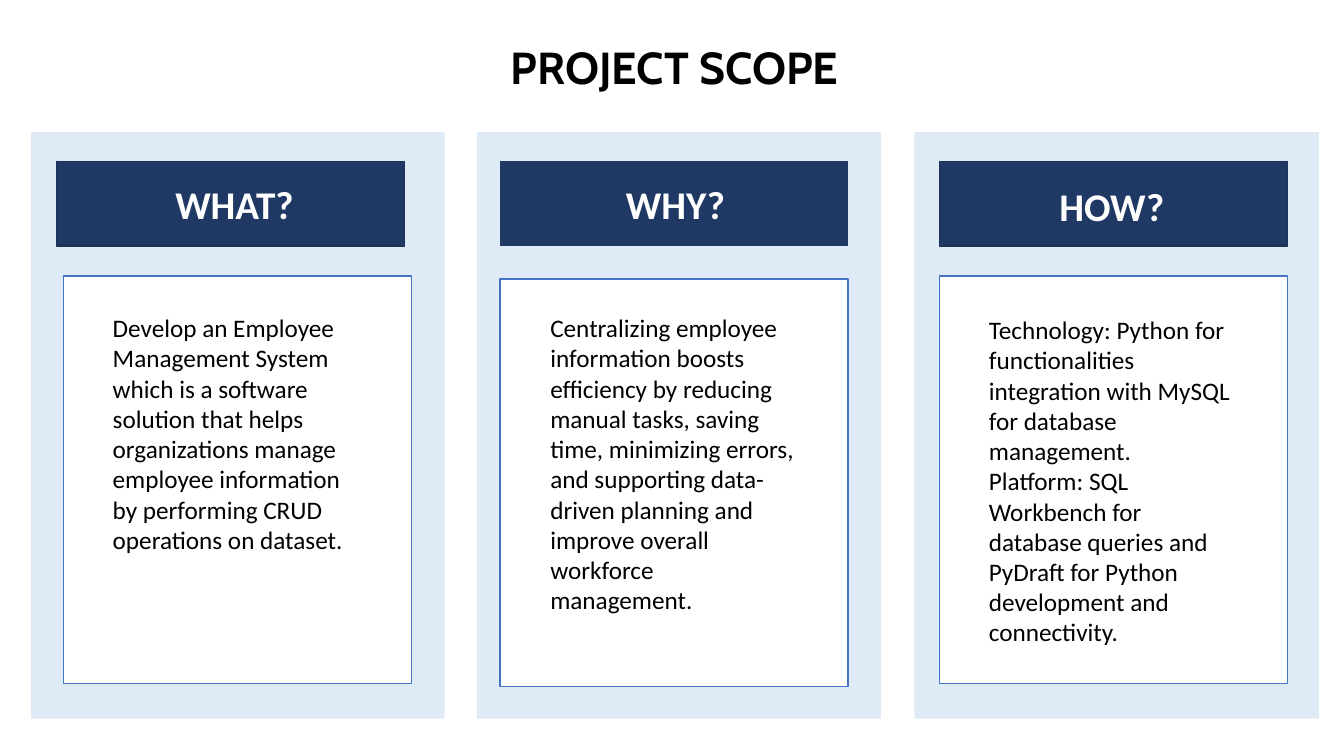
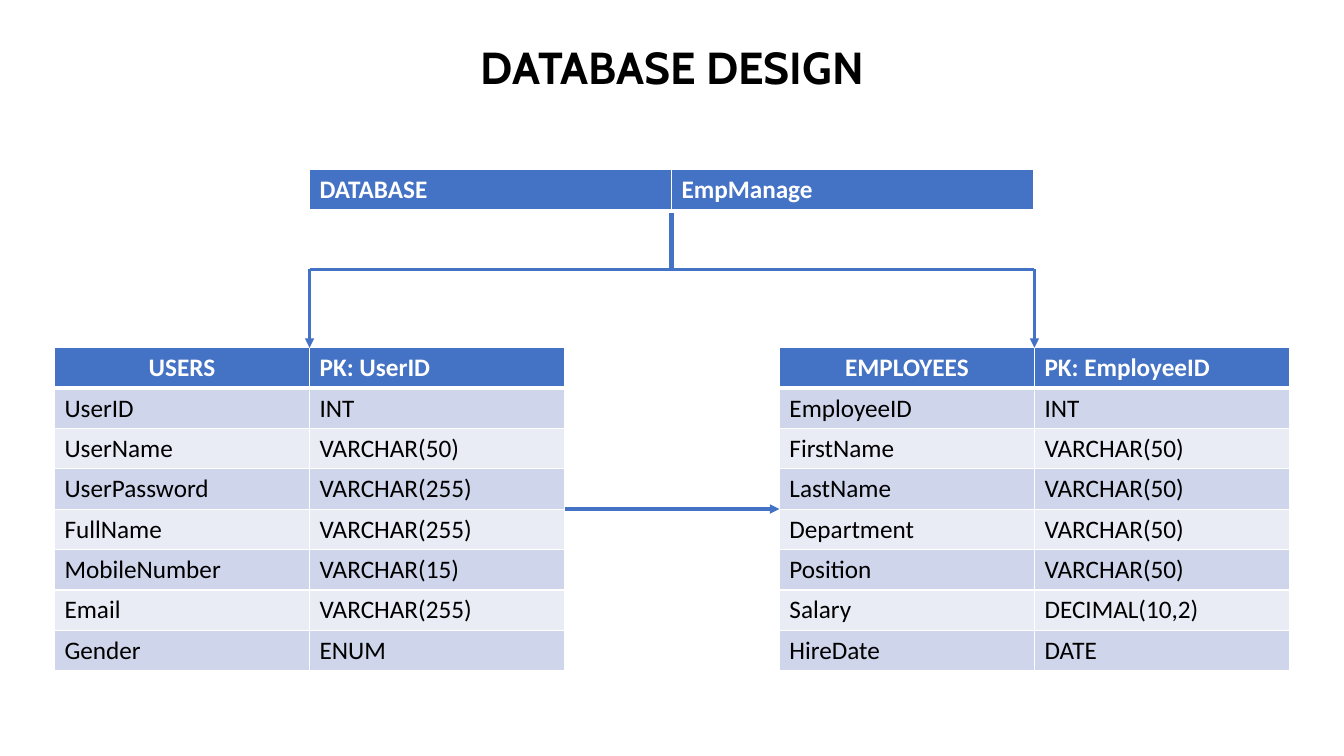
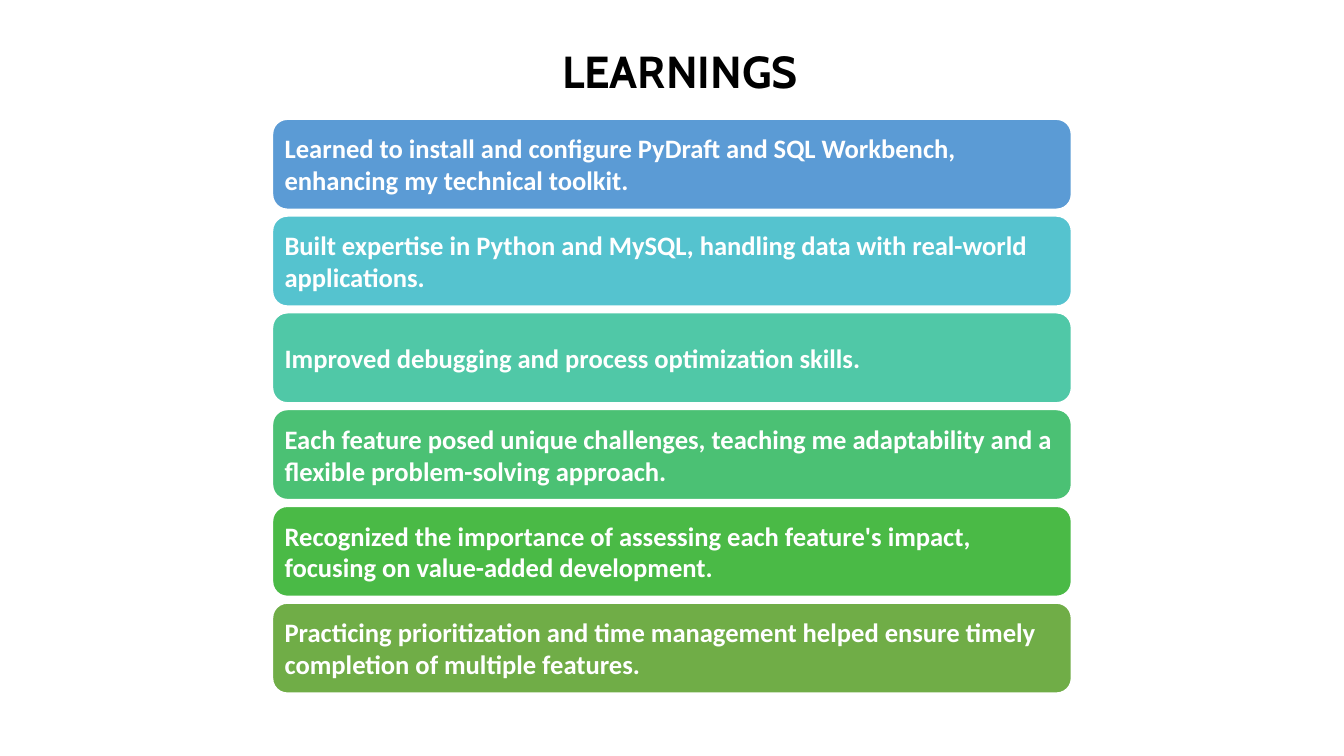
from dataclasses import dataclass

from pptx import Presentation
from pptx.dml.color import RGBColor
from pptx.enum.shapes import MSO_CONNECTOR, MSO_SHAPE
from pptx.enum.text import MSO_ANCHOR, MSO_AUTO_SIZE, PP_ALIGN
from pptx.oxml.ns import qn
from pptx.oxml.xmlchemy import OxmlElement
from pptx.util import Emu, Pt


@dataclass(frozen=True)
class Theme:
    title_font: str = "Cabin"
    body_font: str = "Calibri"
    title_size: int = 32
    label_size: int = 28
    learning_size: int = 19
    body_size: int = 18
    black: str = "000000"
    white: str = "FFFFFF"
    pale: str = "DEEBF7"
    navy: str = "203864"
    navy_edge: str = "1E3256"
    blue: str = "4472C4"
    bands: tuple = ("CFD5EA", "E9EBF5")


THEME = Theme()
EMU_PER_PX = 9144
SLIDE_SIZE = (1333, 750)

SCOPE_TITLE = ("PROJECT SCOPE", (456, 34, 426, 64))
SCOPE_COLUMNS = [
    {
        "label": "WHAT?",
        "paragraphs": [
            "Develop an Employee Management System which is a software solution that helps "
            "organizations manage employee information by performing CRUD operations on dataset.",
        ],
        "panel": (31, 410),
        "banner": (56, THEME.navy_edge),
        "card": (63, 274),
        "label_box": (164, 174, 143, 57),
        "body_box": (102, 305, 263, 252),
    },
    {
        "label": "WHY?",
        "paragraphs": [
            "Centralizing employee information boosts efficiency by reducing manual tasks, "
            "saving time, minimizing errors, and supporting data-driven planning and improve "
            "overall workforce management.",
        ],
        "panel": (473, 401),
        "banner": (496, None),
        "card": (496, 277),
        "label_box": (611, 174, 126, 57),
        "body_box": (536, 305, 267, 313),
    },
    {
        "label": "HOW?",
        "paragraphs": [
            "Technology: Python for functionalities integration with MySQL for database "
            "management.",
            "Platform: SQL Workbench for database queries and PyDraft for Python development "
            "and connectivity.",
        ],
        "panel": (907, 401),
        "banner": (932, THEME.navy_edge),
        "card": (932, 274),
        "label_box": (1041, 176, 133, 57),
        "body_box": (971, 307, 260, 374),
    },
]
PANEL_TOP, PANEL_HEIGHT = 131, 582
BANNER_TOP, BANNER_HEIGHT = 160, 84
CARD_WIDTH, CARD_HEIGHT = 345, 404

DATABASE_TITLE = ("DATABASE DESIGN", (454, 34, 426, 64))
DATABASE_ROWS = [("DATABASE", "EmpManage")]
USER_ROWS = [
    ("USERS", "PK: UserID"),
    ("UserID", "INT"),
    ("UserName", "VARCHAR(50)"),
    ("UserPassword", "VARCHAR(255)"),
    ("FullName", "VARCHAR(255)"),
    ("MobileNumber", "VARCHAR(15)"),
    ("Email", "VARCHAR(255)"),
    ("Gender", "ENUM"),
]
EMPLOYEE_ROWS = [
    ("EMPLOYEES", "PK: EmployeeID"),
    ("EmployeeID", "INT"),
    ("FirstName", "VARCHAR(50)"),
    ("LastName", "VARCHAR(50)"),
    ("Department", "VARCHAR(50)"),
    ("Position", "VARCHAR(50)"),
    ("Salary", "DECIMAL(10,2)"),
    ("HireDate", "DATE"),
]
ENTITY_LEFTS, ENTITY_TOP, ENTITY_COLUMN, ROW_HEIGHT = (54, 773), 345, 253, 40
DATABASE_TOP, BRANCH_TOP, BRANCH_Y = 168, 211, 267

LEARNINGS_TITLE = ("LEARNINGS", (537, 38, 275, 64))
LEARNINGS = [
    ("Learned to install and configure PyDraft and SQL Workbench, enhancing my technical "
     "toolkit.", "5B9BD5"),
    ("Built expertise in Python and MySQL, handling data with real-world applications.",
     "55C3CF"),
    ("Improved debugging and process optimization skills.", "50C8A7"),
    ("Each feature posed unique challenges, teaching me adaptability and a flexible "
     "problem-solving approach.", "4BC174"),
    ("Recognized the importance of assessing each feature's impact, focusing on value-added "
     "development.", "4ABA46"),
    ("Practicing prioritization and time management helped ensure timely completion of "
     "multiple features.", "70AD47"),
]
LEARNING_LEFT, LEARNING_TOP, LEARNING_WIDTH = 270, 118, 793
LEARNING_HEIGHT, LEARNING_GAP, LEARNING_MARGIN = 90, 6, 8


def px(value):
    return Emu(value * EMU_PER_PX)


def color(value):
    return RGBColor.from_string(value)


def add_text(paragraph, text, size, ink, bold=False, font=THEME.body_font,
             align=PP_ALIGN.LEFT):
    paragraph.alignment = align
    run = paragraph.add_run()
    run.text = text
    run.font.name = font
    run.font.size = Pt(size)
    run.font.bold = bold
    run.font.color.rgb = color(ink)


def add_text_box(slide, box, paragraphs, size, ink, **style):
    frame = slide.shapes.add_textbox(*map(px, box)).text_frame
    frame.word_wrap = True
    frame.auto_size = MSO_AUTO_SIZE.SHAPE_TO_FIT_TEXT
    for index, text in enumerate(paragraphs):
        paragraph = frame.add_paragraph() if index else frame.paragraphs[0]
        add_text(paragraph, text, size, ink, **style)


def add_block(slide, box, fill, line=None, width=1, kind=MSO_SHAPE.RECTANGLE):
    shape = slide.shapes.add_shape(kind, *map(px, box))
    shape.shadow.inherit = False
    shape.fill.solid()
    shape.fill.fore_color.rgb = color(fill)
    if line:
        shape.line.color.rgb = color(line)
        shape.line.width = Pt(width)
    else:
        shape.line.fill.background()
    return shape


def add_line(slide, start, end, width=2.25, arrow=False):
    connector = slide.shapes.add_connector(
        MSO_CONNECTOR.STRAIGHT, *map(px, start + end))
    connector.line.color.rgb = color(THEME.blue)
    connector.line.width = Pt(width)
    properties = connector._element.spPr
    if arrow:
        tail = OxmlElement("a:tailEnd")
        tail.set("type", "triangle")
        properties.find(qn("a:ln")).append(tail)
    properties.append(OxmlElement("a:effectLst"))


def add_border(cell, side, width):
    line = OxmlElement(f"a:ln{side}")
    line.set("w", str(Pt(width)))
    fill = OxmlElement("a:solidFill")
    ink = OxmlElement("a:srgbClr")
    ink.set("val", THEME.white)
    fill.append(ink)
    line.append(fill)
    cell._tc.get_or_add_tcPr().append(line)


def add_grid(slide, left, top, column_width, row_height, rows, first_align):
    width, height = column_width * len(rows[0]), row_height * len(rows)
    table = slide.shapes.add_table(
        len(rows), len(rows[0]), *map(px, (left, top, width, height))).table
    for column in table.columns:
        column.width = px(column_width)
    for row_index, values in enumerate(rows):
        header = row_index == 0
        table.rows[row_index].height = px(row_height)
        for column_index, text in enumerate(values):
            cell = table.cell(row_index, column_index)
            for side in "LRTB":
                thick = (header and side == "B") or (row_index == 1 and side == "T")
                add_border(cell, side, 3 if thick else 1)
            cell.fill.solid()
            cell.fill.fore_color.rgb = color(
                THEME.blue if header else THEME.bands[(row_index - 1) % 2])
            add_text(cell.text_frame.paragraphs[0], text, THEME.body_size,
                     THEME.white if header else THEME.black, bold=header,
                     align=first_align if header and column_index == 0 else PP_ALIGN.LEFT)


def add_slide(presentation, title):
    slide = presentation.slides.add_slide(presentation.slide_layouts[6])
    text, box = title
    add_text_box(slide, box, [text], THEME.title_size, THEME.black, bold=True,
                 font=THEME.title_font, align=PP_ALIGN.CENTER)
    return slide


def build_scope(presentation):
    slide = add_slide(presentation, SCOPE_TITLE)
    for column in SCOPE_COLUMNS:
        left, width = column["panel"]
        add_block(slide, (left, PANEL_TOP, width, PANEL_HEIGHT), THEME.pale)
        left, edge = column["banner"]
        add_block(slide, (left, BANNER_TOP, CARD_WIDTH, BANNER_HEIGHT), THEME.navy, edge)
        add_block(slide, column["card"] + (CARD_WIDTH, CARD_HEIGHT), THEME.white, THEME.blue)
        add_text_box(slide, column["label_box"], [column["label"]], THEME.label_size,
                     THEME.white, bold=True)
        add_text_box(slide, column["body_box"], column["paragraphs"], THEME.body_size,
                     THEME.black)


def build_database(presentation):
    slide = add_slide(presentation, DATABASE_TITLE)
    for left, rows in zip(ENTITY_LEFTS, (USER_ROWS, EMPLOYEE_ROWS)):
        add_grid(slide, left, ENTITY_TOP, ENTITY_COLUMN, ROW_HEIGHT, rows, PP_ALIGN.CENTER)

    branch_left, branch_right = (left + ENTITY_COLUMN for left in ENTITY_LEFTS)
    half = (branch_right - branch_left) // 2
    middle = branch_left + half
    add_grid(slide, branch_left, DATABASE_TOP, half, ROW_HEIGHT + 1, DATABASE_ROWS,
             PP_ALIGN.LEFT)
    add_line(slide, (middle, BRANCH_TOP), (middle, BRANCH_Y), width=3)
    add_line(slide, (branch_left, BRANCH_Y), (branch_right, BRANCH_Y))
    for x in (branch_left, branch_right):
        add_line(slide, (x, BRANCH_Y), (x, ENTITY_TOP), arrow=True)
    link_y = ENTITY_TOP + ROW_HEIGHT * len(USER_ROWS) // 2
    add_line(slide, (ENTITY_LEFTS[0] + 2 * ENTITY_COLUMN, link_y),
             (ENTITY_LEFTS[1], link_y), arrow=True)


def build_learnings(presentation):
    slide = add_slide(presentation, LEARNINGS_TITLE)
    for index, (text, fill) in enumerate(LEARNINGS):
        top = LEARNING_TOP + index * (LEARNING_HEIGHT + LEARNING_GAP)
        shape = add_block(slide, (LEARNING_LEFT, top, LEARNING_WIDTH, LEARNING_HEIGHT), fill,
                          THEME.white, 1.5, MSO_SHAPE.ROUNDED_RECTANGLE)
        frame = shape.text_frame
        frame.word_wrap = True
        frame.vertical_anchor = MSO_ANCHOR.MIDDLE
        frame.margin_left = frame.margin_right = px(LEARNING_MARGIN)
        frame.margin_top = frame.margin_bottom = px(LEARNING_MARGIN)
        add_text(frame.paragraphs[0], text, THEME.learning_size, THEME.white, bold=True)


def main():
    presentation = Presentation()
    presentation.slide_width, presentation.slide_height = map(px, SLIDE_SIZE)
    build_scope(presentation)
    build_database(presentation)
    build_learnings(presentation)
    presentation.save("out.pptx")


if __name__ == "__main__":
    main()
